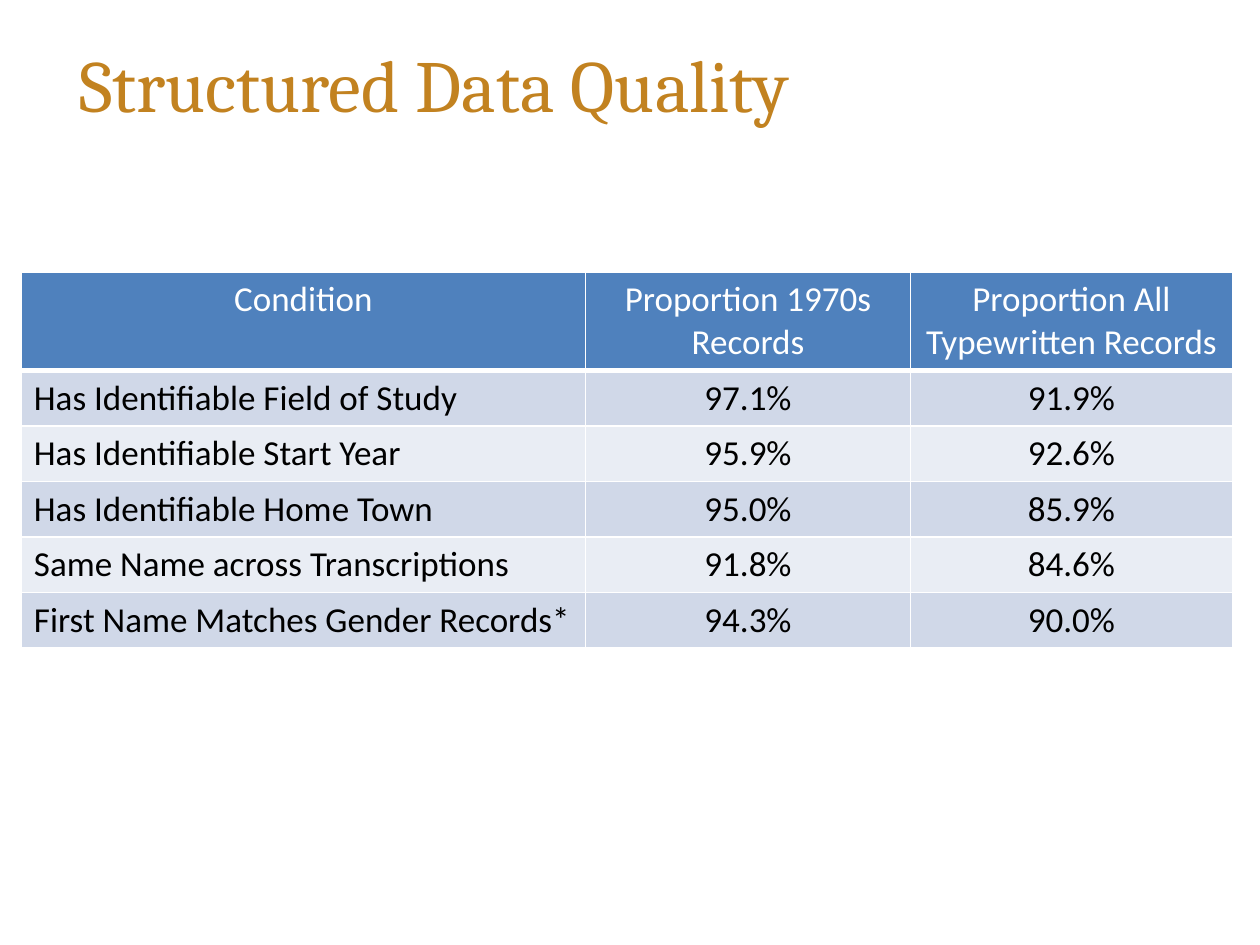
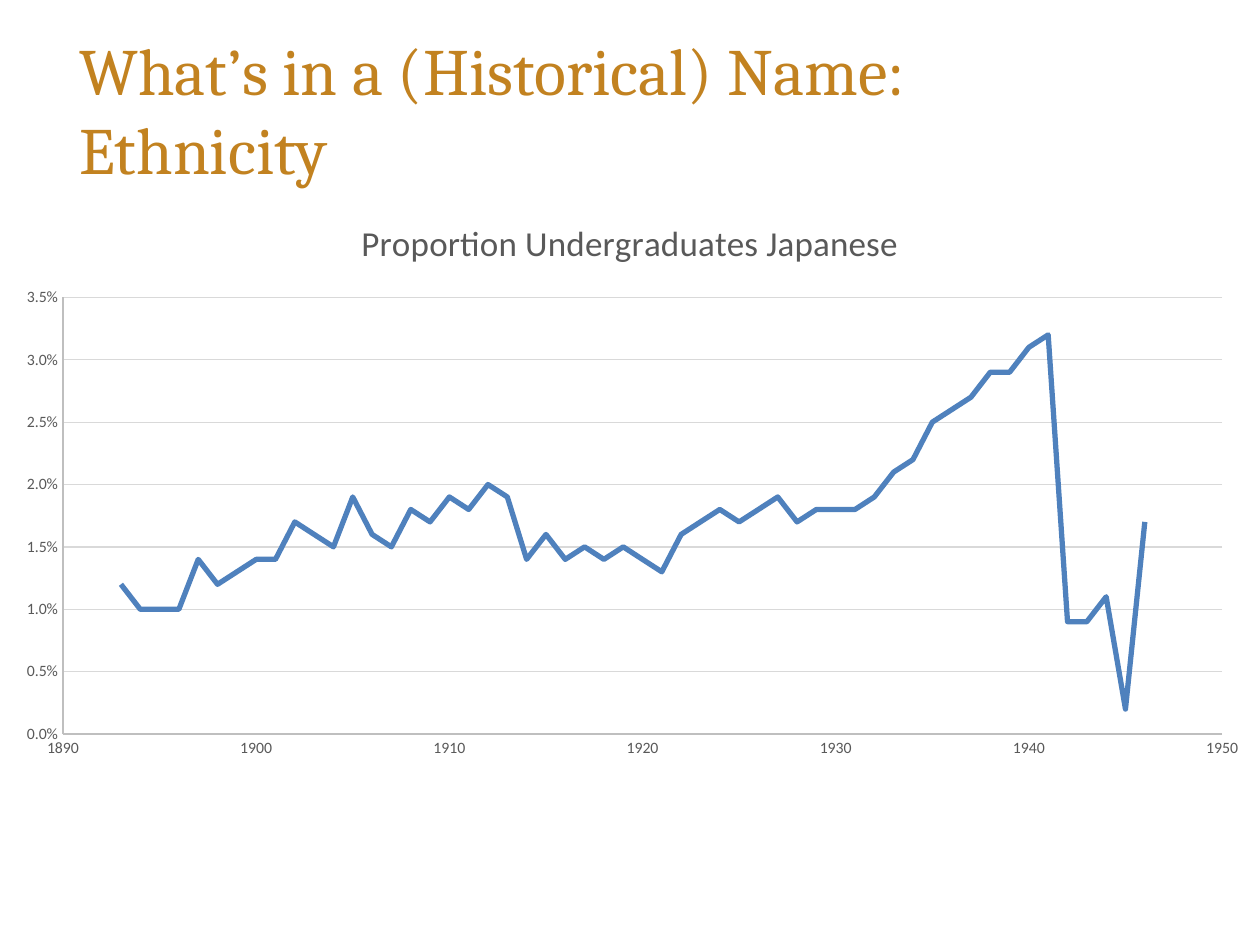
"""Build two slides on student record quality and name ethnicity."""
from lxml.etree import SubElement
from pptx import Presentation
from pptx.chart.data import XyChartData
from pptx.dml.color import RGBColor
from pptx.enum.chart import XL_CHART_TYPE, XL_TICK_MARK
from pptx.enum.text import MSO_ANCHOR, MSO_AUTO_SIZE, PP_ALIGN
from pptx.oxml import parse_xml
from pptx.oxml.ns import nsdecls, qn
from pptx.util import Pt

GOLD, BLUE, WHITE, BLACK = "C28220", "4F81BD", "FFFFFF", "000000"
BAND_DARK, BAND_LIGHT = "D0D8E8", "E9EDF4"
GREY, AXIS_GREY, GRID_GREY = "595959", "BFBFBF", "D9D9D9"
HEADING_FONT, BODY_FONT = "Cambria", "Calibri"
TITLE_LEFT, TITLE_WIDTH = 38.2, 611.3

QUALITY_ROWS = [
    ("Condition", "Proportion 1970s Records", "Proportion All Typewritten Records"),
    ("Has Identifiable Field of Study", "97.1%", "91.9%"),
    ("Has Identifiable Start Year", "95.9%", "92.6%"),
    ("Has Identifiable Home Town", "95.0%", "85.9%"),
    ("Same Name across Transcriptions", "91.8%", "84.6%"),
    ("First Name Matches Gender Records*", "94.3%", "90.0%"),
]
COLUMN_WIDTHS = (322.4, 185.8, 183.8)
HEADER_HEIGHT, ROW_HEIGHT = 55.4, 31.2

FIRST_YEAR = 1893
JAPANESE_SHARE = [
    0.012, 0.010, 0.010, 0.010, 0.014, 0.012, 0.013, 0.014, 0.014, 0.017, 0.016,
    0.015, 0.019, 0.016, 0.015, 0.018, 0.017, 0.019, 0.018, 0.020, 0.019, 0.014,
    0.016, 0.014, 0.015, 0.014, 0.015, 0.014, 0.013, 0.016, 0.017, 0.018, 0.017,
    0.018, 0.019, 0.017, 0.018, 0.018, 0.018, 0.019, 0.021, 0.022, 0.025, 0.026,
    0.027, 0.029, 0.029, 0.031, 0.032, 0.009, 0.009, 0.011, 0.002, 0.017,
]
PLOT_LAYOUT = {"x": 0.05, "y": 0.18, "w": 0.92, "h": 0.76}


def color(value):
    """Return the colour for a hex string."""
    return RGBColor.from_string(value)


def style_font(font, size, tint, name=BODY_FONT):
    """Apply a plain typeface, size and colour."""
    font.name, font.size, font.bold = name, Pt(size), False
    font.color.rgb = color(tint)


def style_line(line, tint, width):
    """Apply a solid colour and width to a line."""
    line.color.rgb = color(tint)
    line.width = Pt(width)


def write_text(frame, text, size=20, tint=BLACK, font=BODY_FONT, align=PP_ALIGN.LEFT):
    """Write one formatted paragraph into a text frame."""
    paragraph = frame.paragraphs[0]
    paragraph.alignment = align
    run = paragraph.add_run()
    run.text = text
    style_font(run.font, size, tint, font)


def add_titled_slide(deck, text, top, height, size, anchor):
    """Add a slide with a gold serif title."""
    slide = deck.slides.add_slide(deck.slide_layouts[5])
    title = slide.shapes.title
    title.left, title.top = Pt(TITLE_LEFT), Pt(top)
    title.width, title.height = Pt(TITLE_WIDTH), Pt(height)
    frame = title.text_frame
    frame.word_wrap = True
    frame.auto_size = MSO_AUTO_SIZE.NONE
    frame.vertical_anchor = anchor
    write_text(frame, text, size=size, tint=GOLD, font=HEADING_FONT)
    return slide


def border_cell(cell, bottom_width):
    """Draw white borders around a table cell."""
    properties = cell._tc.get_or_add_tcPr()
    for side, width in (("L", 1), ("R", 1), ("T", 1), ("B", bottom_width)):
        edge = SubElement(properties, qn(f"a:ln{side}"), w=str(Pt(width)))
        fill = SubElement(edge, qn("a:solidFill"))
        SubElement(fill, qn("a:srgbClr"), val=WHITE)


def add_quality_table(slide, left, top):
    """Add the banded table of quality conditions."""
    height = HEADER_HEIGHT + ROW_HEIGHT * (len(QUALITY_ROWS) - 1)
    table = slide.shapes.add_table(
        len(QUALITY_ROWS), len(COLUMN_WIDTHS),
        Pt(left), Pt(top), Pt(sum(COLUMN_WIDTHS)), Pt(height)).table
    for column, width in zip(table.columns, COLUMN_WIDTHS):
        column.width = Pt(width)
    for r, texts in enumerate(QUALITY_ROWS):
        is_header = r == 0
        table.rows[r].height = Pt(HEADER_HEIGHT if is_header else ROW_HEIGHT)
        band = BLUE if is_header else (BAND_LIGHT, BAND_DARK)[r % 2]
        for c, text in enumerate(texts):
            cell = table.cell(r, c)
            border_cell(cell, 3 if is_header else 1)
            cell.fill.solid()
            cell.fill.fore_color.rgb = color(band)
            write_text(cell.text_frame, text, tint=WHITE if is_header else BLACK,
                       align=PP_ALIGN.CENTER if is_header or c else PP_ALIGN.LEFT)


def format_axis(axis, low, high, step, number_format):
    """Set the scale, labels and line of an axis."""
    axis.minimum_scale, axis.maximum_scale, axis.major_unit = low, high, step
    axis.major_tick_mark = axis.minor_tick_mark = XL_TICK_MARK.NONE
    axis.tick_labels.number_format = number_format
    axis.tick_labels.number_format_is_linked = False
    style_font(axis.tick_labels.font, 9, GREY)
    style_line(axis.format.line, AXIS_GREY, 0.75)


def place_plot(chart):
    """Fix the inner plot area as fractions of the chart."""
    plot_area = chart._chartSpace.chart.plotArea
    for old_layout in plot_area.findall(qn("c:layout")):
        plot_area.remove(old_layout)
    modes = "".join(f'<c:{key}Mode val="edge"/>' for key in "xy")
    sizes = "".join(f'<c:{key} val="{part}"/>' for key, part in PLOT_LAYOUT.items())
    plot_area.insert(0, parse_xml(
        f'<c:layout {nsdecls("c")}><c:manualLayout><c:layoutTarget val="inner"/>'
        f"{modes}{sizes}</c:manualLayout></c:layout>"))


def add_share_chart(slide, left, top, width, height):
    """Add the line of yearly Japanese undergraduate share."""
    shares = XyChartData(number_format="0.0%")
    series_data = shares.add_series("Series 1")
    for year, share in enumerate(JAPANESE_SHARE, start=FIRST_YEAR):
        series_data.add_data_point(year, share)
    chart = slide.shapes.add_chart(
        XL_CHART_TYPE.XY_SCATTER_LINES_NO_MARKERS,
        Pt(left), Pt(top), Pt(width), Pt(height), shares).chart
    style_font(chart.font, 10, BLACK)
    chart.has_legend = False
    chart.has_title = True
    chart.chart_title.include_in_layout = False
    write_text(chart.chart_title.text_frame, "Proportion Undergraduates Japanese",
               tint=GREY, align=PP_ALIGN.CENTER)
    chart.plots[0].vary_by_categories = False
    series = chart.plots[0].series[0]
    series.smooth = False
    style_line(series.format.line, BLUE, 3)
    years, proportions = chart.category_axis, chart.value_axis
    format_axis(years, 1890, 1950, 10, "General")
    format_axis(proportions, 0, 0.035, 0.005, "0.0%")
    years.has_major_gridlines = False
    proportions.has_major_gridlines = True
    style_line(proportions.major_gridlines.format.line, GRID_GREY, 0.75)
    place_plot(chart)


def main():
    """Build and save the two slides."""
    deck = Presentation()
    deck.slide_width, deck.slide_height = Pt(720), Pt(540)
    quality = add_titled_slide(deck, "Structured Data Quality",
                               0, 76.3, 42, MSO_ANCHOR.BOTTOM)
    add_quality_table(quality, 12.2, 155.5)
    ethnicity = add_titled_slide(deck, "What’s in a (Historical) Name: Ethnicity",
                                 16.6, 90.7, 37.8, MSO_ANCHOR.MIDDLE)
    add_share_chart(ethnicity, 0, 110.9, 720, 328.3)
    deck.save("out.pptx")


if __name__ == "__main__":
    main()
